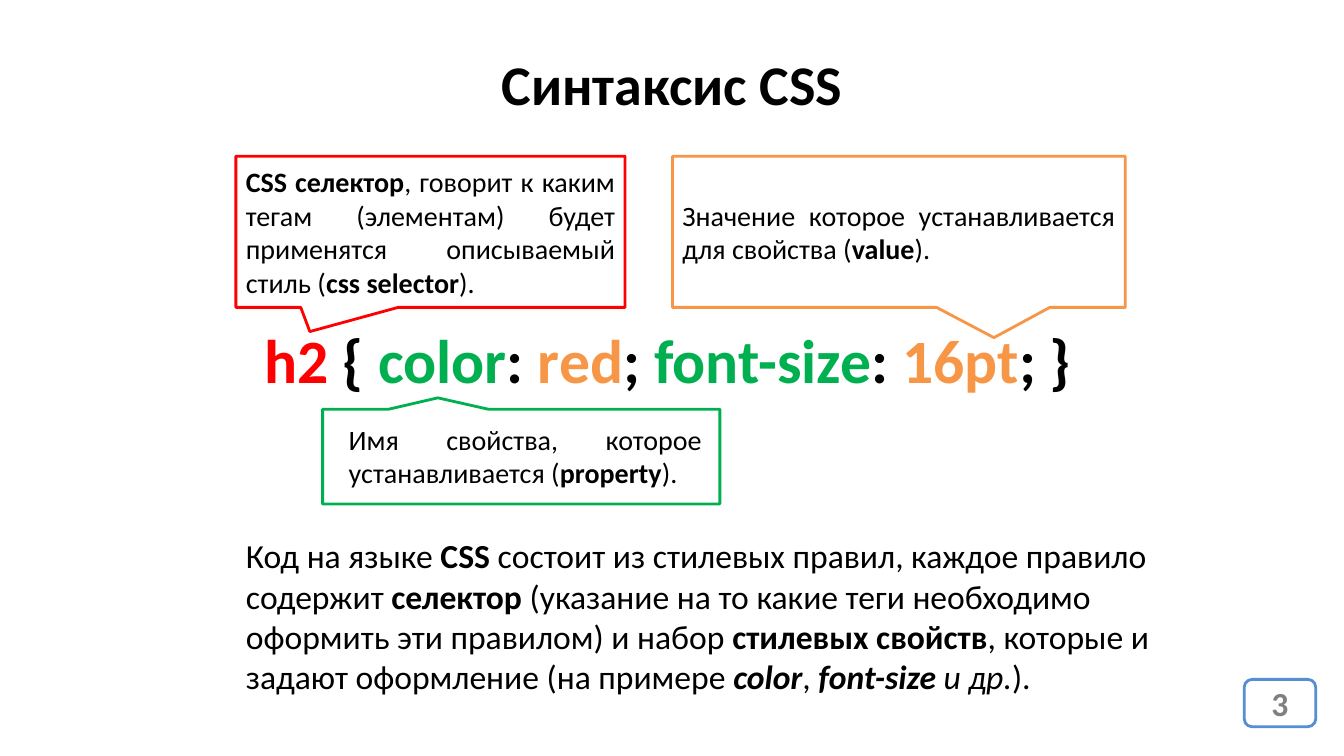
from pptx import Presentation
from pptx import util as u
from pptx.dml.color import RGBColor
from pptx.enum import shapes, text

BLACK = RGBColor(0x00, 0x00, 0x00)
WHITE = RGBColor(0xFF, 0xFF, 0xFF)
GREY = RGBColor(0x80, 0x80, 0x80)
RED = RGBColor(0xFF, 0x00, 0x00)
GREEN = RGBColor(0x00, 0xB0, 0x50)
ORANGE = RGBColor(0xF7, 0x96, 0x46)
BLUE = RGBColor(0x55, 0x8E, 0xD5)

LEFT, CENTER, JUSTIFY = (
    text.PP_ALIGN.LEFT, text.PP_ALIGN.CENTER, text.PP_ALIGN.JUSTIFY)
TOP, MIDDLE = text.MSO_ANCHOR.TOP, text.MSO_ANCHOR.MIDDLE


def inches(box):
    return [u.Inches(length) for length in box]


def write(frame, runs, size=20, align=LEFT, anchor=TOP, wrap=True):
    frame.word_wrap = wrap
    frame.auto_size = text.MSO_AUTO_SIZE.NONE
    frame.vertical_anchor = anchor
    paragraph = frame.paragraphs[0]
    paragraph.alignment = align
    for words, style, color in runs:
        run = paragraph.add_run()
        run.text = words
        font = run.font
        font.name, font.size = "Calibri", u.Pt(size)
        font.bold, font.italic = "b" in style, "i" in style
        font.color.rgb = color


def black_runs(*pairs):
    return [(words, style, BLACK) for words, style in pairs]


def add_text(slide, box, runs, **layout):
    write(slide.shapes.add_textbox(*inches(box)).text_frame, runs, **layout)


def add_outline(slide, box, preset, color, fill=None):
    outline = slide.shapes.add_shape(preset, *inches(box))
    outline.shadow.inherit = False
    if fill is None:
        outline.fill.background()
    else:
        outline.fill.solid()
        outline.fill.fore_color.rgb = fill
    outline.line.color.rgb = color
    outline.line.width = u.Pt(2)
    return outline


def add_heading(slide, box):
    heading = slide.shapes.title
    heading.left, heading.top, heading.width, heading.height = inches(box)
    write(heading.text_frame, black_runs(("Синтаксис CSS", "b")),
          size=40, align=CENTER)


def add_callout(slide, box, color, tip, runs, text_inset=None):
    callout = add_outline(
        slide, box, shapes.MSO_SHAPE.RECTANGULAR_CALLOUT, color)
    callout.adjustments[0], callout.adjustments[1] = tip
    if text_inset is None:
        write(callout.text_frame, runs, align=JUSTIFY, anchor=MIDDLE)
    else:
        left, top, width, height = box
        inset_x, inset_y, inset_right = text_inset
        add_text(slide,
                 (left + inset_x, top + inset_y,
                  width - inset_x - inset_right, height - 2 * inset_y),
                 runs, align=JUSTIFY)


def add_css_rule(slide, box):
    tokens = [("h2 ", RED), ("{ ", BLACK),
              ("color", GREEN), (": ", BLACK), ("red", ORANGE), ("; ", BLACK),
              ("font-size", GREEN), (": ", BLACK), ("16pt", ORANGE),
              ("; }", BLACK)]
    add_text(slide, box, [(token, "b", color) for token, color in tokens],
             size=44, align=CENTER, wrap=False)


def add_explanation(slide, box):
    add_text(slide, box, black_runs(
        ("Код на языке ", ""), ("CSS ", "b"),
        ("состоит из стилевых правил, каждое правило содержит ", ""),
        ("селектор", "b"),
        (" (указание на то какие теги необходимо оформить эти правилом)"
         " и набор ", ""),
        ("стилевых свойств", "b"),
        (", которые и задают оформление (на примере ", ""),
        ("color", "bi"), (", ", ""), ("font-size ", "bi"),
        ("и др.", "i"), (").", "")), size=24)


def add_page_number(slide, box):
    badge = add_outline(
        slide, box, shapes.MSO_SHAPE.ROUNDED_RECTANGLE, BLUE, fill=WHITE)
    write(badge.text_frame, [("3", "b", GREY)],
          size=24, align=CENTER, anchor=MIDDLE)


def main():
    deck = Presentation()
    deck.slide_width, deck.slide_height = u.Inches(13.33), u.Inches(7.5)
    slide = deck.slides.add_slide(deck.slide_layouts.get_by_name("Title Only"))

    add_heading(slide, (0, 0.44, 13.33, 0.77))
    add_page_number(slide, (12.34, 6.74, 0.71, 0.47))
    add_css_rule(slide, (2.48, 3.14, 8.29, 0.84))
    add_callout(slide, (2.34, 1.55, 3.86, 1.5), RED, (-0.31, 0.66), black_runs(
        ("CSS селектор", "b"),
        (", говорит к каким тегам (элементам) будет применятся"
         " описываемый стиль (", ""),
        ("css selector", "b"), (").", "")))
    add_callout(slide, (3.2, 4.06, 3.94, 0.94), GREEN, (-0.21, -0.62),
                black_runs(("Имя свойства, которое устанавливается (", ""),
                           ("property", "b"), (").", "")),
                text_inset=(0.16, 0.08, 0.08))
    add_callout(slide, (6.67, 1.55, 4.49, 1.5), ORANGE, (0.21, 0.7),
                black_runs(
                    ("Значение которое устанавливается для свойства (", ""),
                    ("value", "b"), (").", "")))
    add_explanation(slide, (2.34, 5.26, 9.29, 1.72))

    deck.save("out.pptx")


if __name__ == "__main__":
    main()
